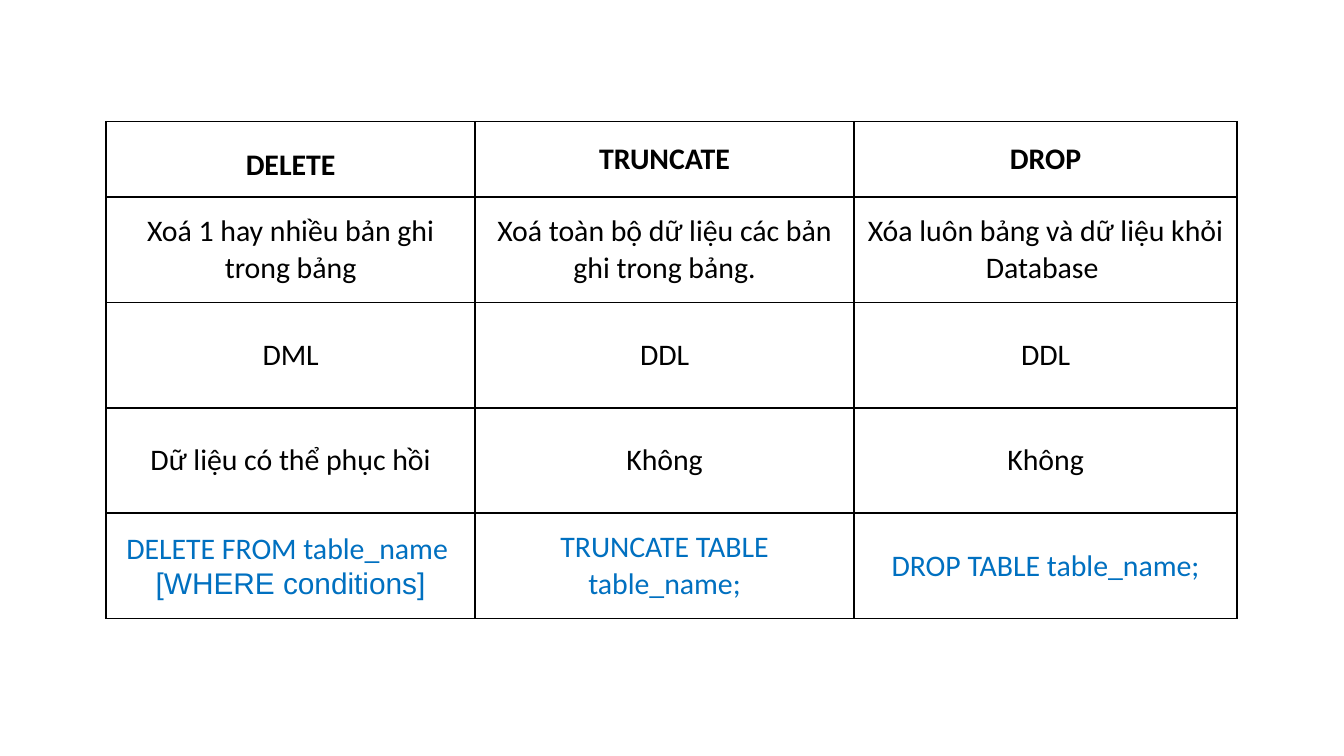
from lxml.etree import SubElement
from pptx import Presentation
from pptx.dml.color import RGBColor as RGB
from pptx.enum.text import MSO_ANCHOR as Anchor, PP_ALIGN as Align
from pptx.oxml.ns import qn
from pptx.util import Pt

PX = 4572  # EMU per px, 200 px to the inch
COLORS = {"text": "000000", "code": "0070C0", "line": "000000"}
COLS = [549, 564, 570]
ROWS = [112] + [157] * 4
CELLS = [
    ["DELETE", "TRUNCATE", "DROP"],
    ["Xoá 1 hay nhiều bản ghi trong bảng",
     "Xoá toàn bộ dữ liệu các bản ghi trong bảng.",
     "Xóa luôn bảng và dữ liệu khỏi Database "],
    ["DML", "DDL", "DDL"],
    ["Dữ liệu có thể phục hồi", "Không", "Không"],
    ["DELETE FROM table_name \n[WHERE conditions]",
     "TRUNCATE TABLE table_name;", "DROP TABLE table_name;"],
]


def add_borders(cell):
    props = cell._tc.get_or_add_tcPr()
    for side in ("lnL", "lnR", "lnT", "lnB"):
        line = SubElement(props, qn(f"a:{side}"), w=str(Pt(1)))
        fill = SubElement(line, qn("a:solidFill"))
        SubElement(fill, qn("a:srgbClr"), val=COLORS["line"])


prs = Presentation()
prs.slide_width, prs.slide_height = 2000 * PX, 1125 * PX
slide = prs.slides.add_slide(prs.slide_layouts[6])

frame = slide.shapes.add_table(len(ROWS), len(COLS), 158 * PX, 181 * PX,
                               sum(COLS) * PX, sum(ROWS) * PX)
table = frame.table
table.first_row = table.horz_banding = False
for col, width in zip(table.columns, COLS):
    col.width = width * PX
for row, height in zip(table.rows, ROWS):
    row.height = height * PX

for r, texts in enumerate(CELLS):
    head, code = r == 0, r == len(CELLS) - 1
    for c, text in enumerate(texts):
        cell = table.cell(r, c)
        add_borders(cell)
        cell.fill.background()
        cell.vertical_anchor = Anchor.MIDDLE
        cell.text = text
        for para in cell.text_frame.paragraphs:
            para.alignment = Align.CENTER
            font = para.font
            font.name, font.size, font.bold = "Calibri", Pt(16), head
            font.color.rgb = RGB.from_string(COLORS["code" if code else "text"])

first = table.cell(0, 0)
first.vertical_anchor = Anchor.TOP
first.text_frame.paragraphs[0].line_spacing = 1.5
table.cell(4, 0).text_frame.paragraphs[1].font.name = "Arial"

prs.save("out.pptx")
